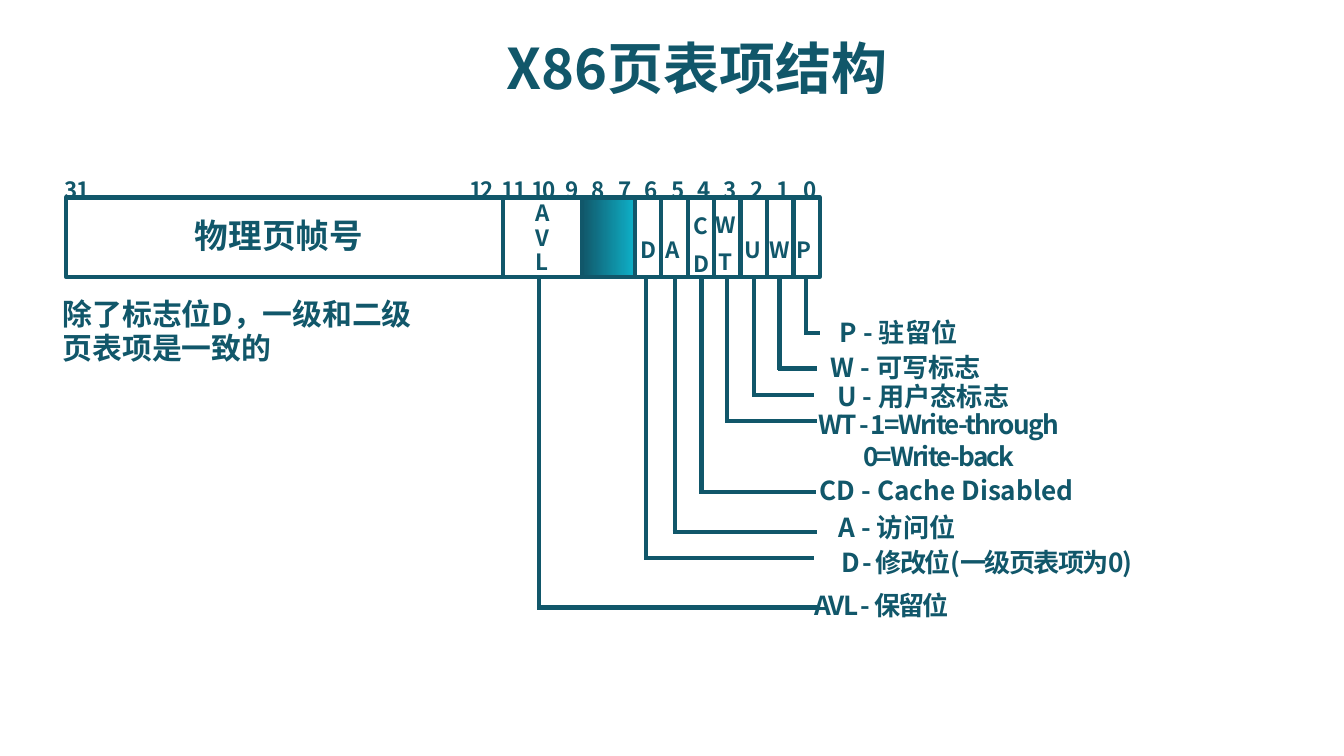
from dataclasses import dataclass

from lxml.etree import SubElement
from pptx import Presentation
from pptx.dml.color import RGBColor
from pptx.enum.shapes import MSO_CONNECTOR, MSO_SHAPE
from pptx.enum.text import MSO_ANCHOR, MSO_AUTO_SIZE, PP_ALIGN
from pptx.oxml.ns import qn
from pptx.util import Pt

COLORS = {"ink": "11576A", "glow": "0EB1C8"}
FONT = "Noto Sans CJK SC"
BIT_WIDTH = 14.15
ENTRY_LEFT, ENTRY_RIGHT = 35.3, 439.2
ENTRY_TOP, ENTRY_HEIGHT = 105.8, 42.5
ENTRY_BOTTOM = ENTRY_TOP + ENTRY_HEIGHT


@dataclass
class Style:
    """Text size, line spacing (a factor or points), gaps and alignment."""
    size: float
    line: float | Pt = 0.95
    before: float = 0
    tracking: float = 0
    align: PP_ALIGN = PP_ALIGN.LEFT


@dataclass
class Flag:
    """A one-bit field: its letters, the centre of them and their box."""
    letters: str
    center: float
    width: float = 22.3
    top: float = 112.3
    height: float = 32.4
    line: float = 25


@dataclass
class Legend:
    """An explanation with the leader that ties it to its field."""
    text: str
    left: float
    middle: float
    width: float
    leader_x: float
    leader_y: float
    leader_end: float = 437.8
    tracking: float = 0
    line: float | Pt = 0.95
    height: float = 23


FLAGS = [
    Flag("D", 347.4),
    Flag("A", 360.4),
    Flag("C\nD", 375.5, top=109.4, height=42.5, line=15),
    Flag("W\nT", 388.8, 27.4, 108.7, 42.5, 15),
    Flag("U", 402.8),
    Flag("W", 416.5),
    Flag("P", 430.9),
]
LEGENDS = [
    Legend("P - 驻留位", 442.8, 178.6, 106.6, 432, 178.6, 439.2),
    Legend("W - 可写标志", 437.8, 197.3, 174.2, 417.6, 197.4),
    Legend("U - 用户态标志", 441.4, 213.1, 174.2, 403.9, 211.7, 436.3),
    Legend("WT - 1=Write-through\n0=Write-back", 431.3, 239, 236.2, 389.5, 225.4,
           tracking=-1, line=Pt(10), height=36),
    Legend("CD - Cache Disabled", 432, 263.5, 208, 375.8, 263.5, 437),
    Legend("A - 访问位", 442.1, 283, 174.2, 361.4, 285.1),
    Legend("D - 修改位(一级页表项为0)", 443.5, 301.7, 225.4, 346.3, 298.8, 436.3, -1),
    Legend("AVL - 保留位", 429.1, 324.7, 224.6, 288.7, 325.5, tracking=-1),
]
WIDE_BITS = [("10", 291.2, 33.8), ("11", 275.4, 39.6), ("12", 258.1, 33.8), ("31", 41.4, 33.8)]


def color(name: str) -> RGBColor:
    """Look up a palette colour."""
    return RGBColor.from_string(COLORS[name])


def write(shape, text: str, style: Style) -> None:
    """Fill a shape with formatted paragraphs, centred vertically."""
    frame = shape.text_frame
    frame.text = text
    frame.word_wrap = True
    frame.auto_size = MSO_AUTO_SIZE.SHAPE_TO_FIT_TEXT
    frame.vertical_anchor = MSO_ANCHOR.MIDDLE
    for paragraph in frame.paragraphs:
        paragraph.alignment = style.align
        paragraph.line_spacing = style.line
        paragraph.space_before = Pt(style.before)
        font = paragraph.font
        font.name, font.size, font.bold = FONT, Pt(style.size), True
        font.color.rgb = color("ink")
        properties = paragraph._p.get_or_add_pPr().get_or_add_defRPr()
        SubElement(properties, qn("a:ea"), typeface=FONT)
        if style.tracking:
            for run in paragraph.runs:
                run._r.get_or_add_rPr().set("spc", str(int(style.tracking * 100)))


def add_text(slide, text: str, left: float, top: float, width: float,
             height: float, style: Style):
    """Add a text box and return it."""
    box = slide.shapes.add_textbox(Pt(left), Pt(top), Pt(width), Pt(height))
    write(box, text, style)
    return box


def add_field(slide, left: float, right: float, shaded: bool = False) -> None:
    """Draw one field of the page table entry."""
    field = slide.shapes.add_shape(MSO_SHAPE.RECTANGLE, Pt(left), Pt(ENTRY_TOP),
                                   Pt(right - left), Pt(ENTRY_HEIGHT))
    field.shadow.inherit = False
    field.line.color.rgb = color("ink")
    field.line.width = Pt(2.25)
    if shaded:
        field.fill.gradient()
        field.fill.gradient_angle = 0
        for stop, name in zip(field.fill.gradient_stops, ("ink", "glow")):
            stop.color.rgb = color(name)
    else:
        field.fill.background()


def add_line(slide, x1: float, y1: float, x2: float, y2: float) -> None:
    """Draw one straight piece of a leader."""
    line = slide.shapes.add_connector(MSO_CONNECTOR.STRAIGHT, Pt(x1), Pt(y1), Pt(x2), Pt(y2))
    line.line.color.rgb = color("ink")
    line.line.width = Pt(2.25)
    SubElement(line._element.spPr, qn("a:effectLst"))


def bit_left(bits: int) -> float:
    """Left edge of the field that ends the given number of bits from the right."""
    return ENTRY_RIGHT - bits * BIT_WIDTH


def add_entry(slide) -> None:
    """Draw the entry with its field names and bit numbers."""
    for bits in range(len(FLAGS), 0, -1):
        add_field(slide, bit_left(bits), bit_left(bits - 1))
    add_field(slide, bit_left(9), bit_left(7), shaded=True)
    add_field(slide, bit_left(12), bit_left(9))
    add_field(slide, ENTRY_LEFT, bit_left(12))

    add_text(slide, "物理页帧号", 14.4, 113, 270, 28.1, Style(18, align=PP_ALIGN.CENTER))
    names = [Flag("A\nV\nL", 290.5, top=109.4, height=41.8, line=8), *FLAGS]
    for flag in names:
        add_text(slide, flag.letters, flag.center - flag.width / 2, flag.top, flag.width,
                 flag.height, Style(12, Pt(flag.line), 5, -1, PP_ALIGN.CENTER))

    number_style = Style(12, Pt(25), 5, -1, PP_ALIGN.CENTER)
    for bit in range(10):
        add_text(slide, str(bit), 423.2 - bit * BIT_WIDTH, 79.9, 16.6, 32.4, number_style)
    for number, center, width in WIDE_BITS:
        add_text(slide, number, center - width / 2, 79.9, width, 32.4, number_style)


def add_legend(slide, legend: Legend) -> None:
    """Write an explanation and draw its leader."""
    style = Style(14, legend.line, 7, legend.tracking)
    box = add_text(slide, legend.text, legend.left, legend.middle - legend.height / 2,
                   legend.width, legend.height, style)
    for paragraph in box.text_frame.paragraphs[1:]:
        paragraph._p.get_or_add_pPr().set("marL", str(Pt(24)))
    add_line(slide, legend.leader_x, ENTRY_BOTTOM, legend.leader_x, legend.leader_y + 1)
    add_line(slide, legend.leader_x - 1, legend.leader_y, legend.leader_end, legend.leader_y)


def main() -> None:
    """Build the slide and save it."""
    deck = Presentation()
    deck.slide_width, deck.slide_height = Pt(720), Pt(405)
    slide = deck.slides.add_slide(deck.slide_layouts[5])
    title = slide.shapes.title
    title.left, title.top, title.width, title.height = Pt(134.6), Pt(16.6), Pt(478), Pt(41.8)
    write(title, "X86页表项结构", Style(30, align=PP_ALIGN.CENTER))
    add_entry(slide)
    add_text(slide, "除了标志位D，一级和二级页表项是一致的", 26.6, 156.2, 208, 43.9, Style(16))
    for legend in LEGENDS:
        add_legend(slide, legend)
    deck.save("out.pptx")


main()
